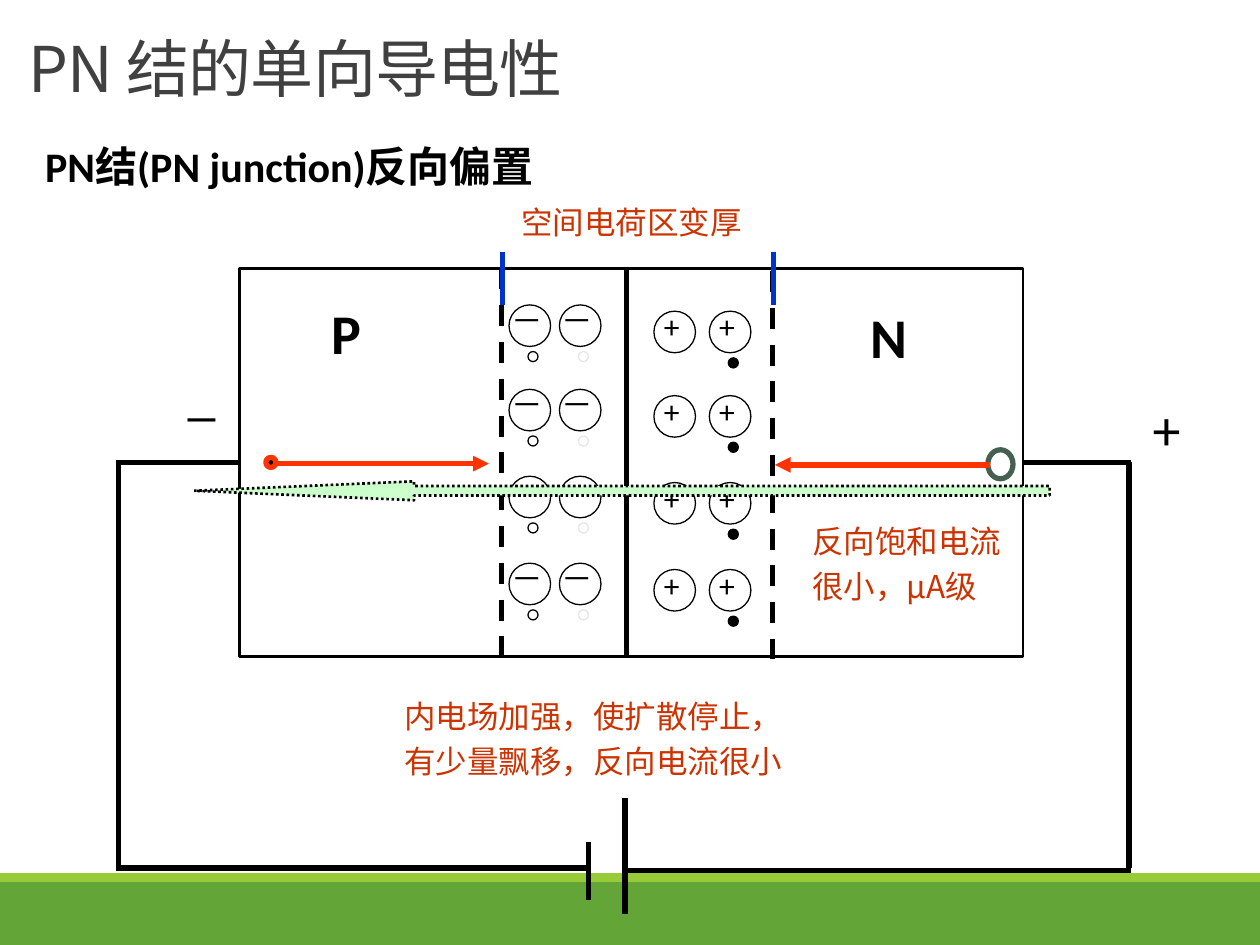
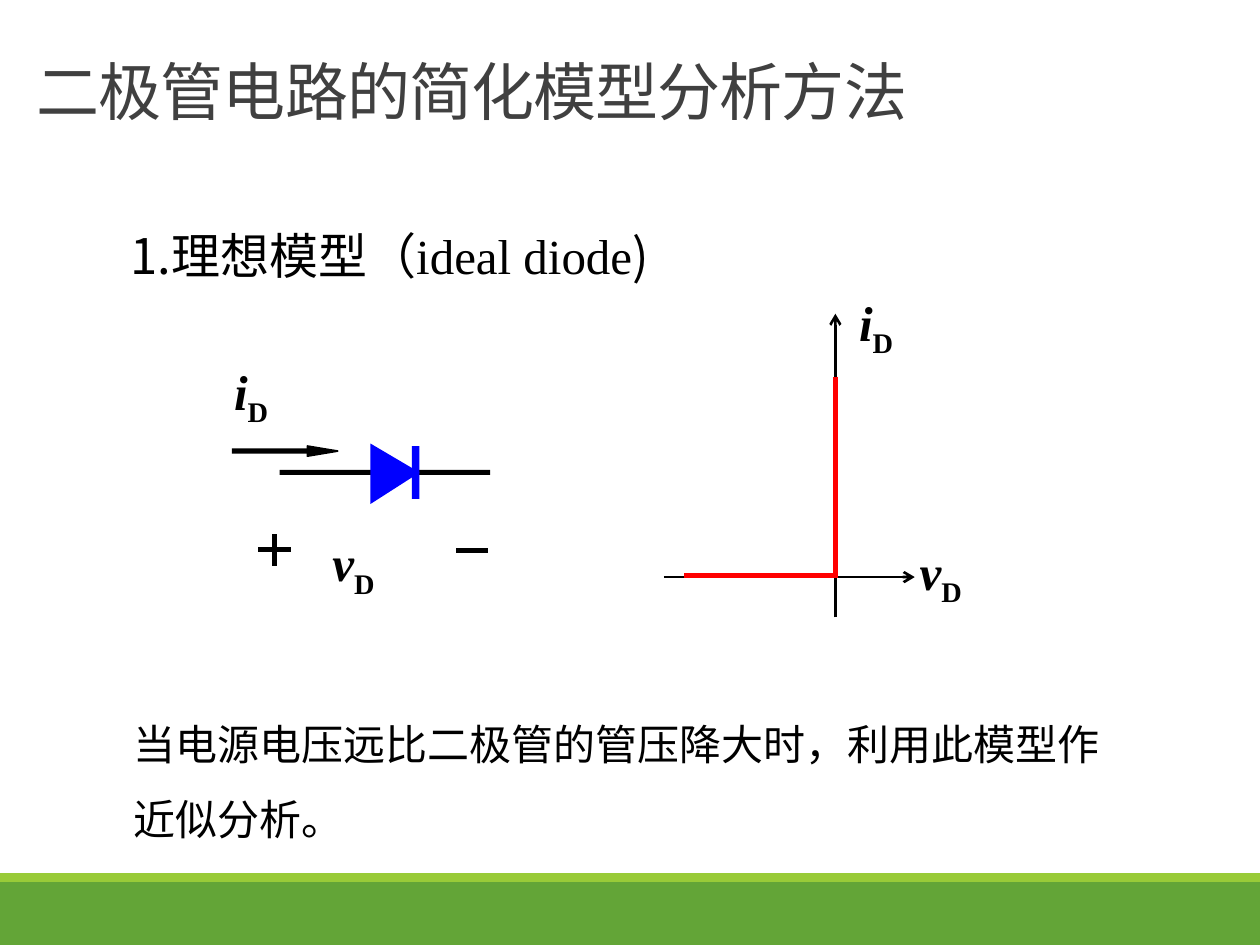
"""Build two slides on the PN junction and the ideal diode model."""
from lxml import etree
from pptx import Presentation, util as u
from pptx.dml.color import RGBColor
from pptx.enum import dml, shapes, text as t
from pptx.oxml import ns

Inches = u.Inches
BLACK, WHITE, GREY, PALE = "000000", "FFFFFF", "404040", "E6E6E6"
GREEN, LIME, MINT, PINE = "63A537", "99CB38", "CCFFCC", "455F51"
RUST, ORANGE, RED, NAVY, BLUE = "CC3300", "FF3300", "FF0000", "0033CC", "0000FF"
HAN, SANS, SERIF = "Noto Sans CJK SC", "Calibri", "Times New Roman"
RECT, OVAL = shapes.MSO_SHAPE.RECTANGLE, shapes.MSO_SHAPE.OVAL
DASH = dml.MSO_LINE
TOP, MID, LOW = t.MSO_ANCHOR.TOP, t.MSO_ANCHOR.MIDDLE, t.MSO_ANCHOR.BOTTOM
ROWS = (0, 0.67, 1.36, 2.05)


def tint(code):
    """Turn a hex string into a colour."""
    return RGBColor.from_string(code)


def add(parent, tag, **attrs):
    """Append a drawing element with attributes."""
    return etree.SubElement(parent, ns.qn(tag), **attrs)


def write(frame, *paras, size=18, face=SANS, color=BLACK, bold=None,
          anchor=TOP, wrap=True, lead=None, gap=None, tight=None):
    """Fill a frame; a paragraph is a string or a list of (text, options)."""
    frame.word_wrap = wrap
    frame.auto_size = t.MSO_AUTO_SIZE.NONE
    frame.vertical_anchor = anchor
    for i, para in enumerate(paras):
        line = frame.add_paragraph() if i else frame.paragraphs[0]
        line.alignment = t.PP_ALIGN.LEFT
        if lead:
            line.line_spacing = lead
        if i and gap:
            line.space_before = u.Pt(gap)
        for words, opts in [(para, {})] if isinstance(para, str) else para:
            run = line.add_run()
            run.text = words
            font = run.font
            font.size, font.bold = u.Pt(size), bold
            font.italic = opts.get("italic")
            font.name = opts.get("face", face)
            font.color.rgb = tint(color)
            props = run._r.get_or_add_rPr()
            add(props, "a:ea", typeface=font.name)
            if tight:
                props.set("spc", str(tight))
            if "base" in opts:
                props.set("baseline", str(opts["base"]))


def label(slide, box, *paras, **style):
    """Place a text box."""
    area = slide.shapes.add_textbox(*map(Inches, box))
    write(area.text_frame, *paras, **style)


def paint(item, fill=None, line=None, width=0.75, dash=None):
    """Set fill, outline and shadow of a shape."""
    item.shadow.inherit = False
    if fill:
        item.fill.solid()
        item.fill.fore_color.rgb = tint(fill)
    else:
        item.fill.background()
    if line:
        item.line.color.rgb = tint(line)
        item.line.width = u.Pt(width)
        if dash:
            item.line.dash_style = dash
    else:
        item.line.fill.background()
    return item


def shape(slide, kind, box, **style):
    """Draw a preset shape."""
    return paint(slide.shapes.add_shape(kind, *map(Inches, box)), **style)


def poly(slide, points, **style):
    """Draw a closed outline through points."""
    first, *rest = [tuple(map(Inches, p)) for p in points]
    pen = slide.shapes.build_freeform(*first)
    pen.add_line_segments(rest, close=True)
    return paint(pen.convert_to_shape(), **style)


def wire(slide, start, end, color=BLACK, width=3, dash=None, tip=None):
    """Draw a straight line, with an arrowhead of the given type at its end."""
    link = slide.shapes.add_connector(
        shapes.MSO_CONNECTOR.STRAIGHT, *map(Inches, (*start, *end)))
    link.line.color.rgb = tint(color)
    link.line.width = u.Pt(width)
    if dash:
        link.line.dash_style = dash
    if tip:
        add(link.line._get_or_add_ln(), "a:tailEnd", type=tip)
    add(link._element.spPr, "a:effectLst")
    return link


def start(deck, name, left, top):
    """Add a slide with its title."""
    slide = deck.slides.add_slide(deck.slide_layouts[5])
    title = slide.shapes.title
    title.left, title.top, title.width, title.height = map(
        Inches, (left, top, 8.25, 1.08))
    write(title.text_frame, name, size=36, face=HAN, color=GREY,
          anchor=LOW, lead=0.85, tight=-50)
    return slide


def bands(slide):
    """Draw the footer bands and move them to the shared layout."""
    base = slide.slide_layout.shapes[0].element
    for top, high, fill in ((7, 0.5, GREEN), (6.93, 0.07, LIME)):
        bar = shape(slide, RECT, (0, top, 10, high), fill=fill)
        base.addprevious(bar.element)


def ions(slide, left, top, sign, shift, wide, **dot):
    """Draw a column of ions, each with its sign and, if styled, a carrier."""
    for row in ROWS:
        y = top + row
        shape(slide, OVAL, (left, y, 0.33, 0.33), line=BLACK)
        label(slide, (left - shift, y - 0.08, wide, 0.5), sign)
        if dot:
            shape(slide, OVAL, (left + 0.15, y + 0.37, 0.08, 0.08), **dot)


def symbol(slide, left, top, letter, wide=0.6):
    """Write a quantity with the subscript D."""
    label(slide, (left, top, wide, 0.57),
          [(letter, {"italic": True}), ("D", {"base": -25000})],
          size=28, face=SERIF, bold=True, wrap=False)


def circuit(slide):
    """Draw the wires and the battery around the junction."""
    zones = [shape(slide, RECT, (left, 2.13, wide, 3.08), line=BLACK, width=1.5)
             for left, wide in ((1.9, 3.08), (4.96, 3.16))]
    wire(slide, (0.92, 3.67), (1.9, 3.67)).end_connect(zones[0], 1)
    wire(slide, (8.12, 3.67), (8.98, 3.67)).begin_connect(zones[1], 3)
    for a, b in (((0.94, 3.67), (0.94, 6.89)), ((0.92, 6.89), (4.67, 6.89)),
                 ((8.96, 3.67), (8.96, 6.89)), ((4.94, 6.91), (8.98, 6.91)),
                 ((4.96, 6.33), (4.96, 7.25)), ((4.67, 6.68), (4.67, 7.14))):
        wire(slide, a, b)


def junction(deck):
    """Build the slide on reverse bias."""
    slide = start(deck, "PN 结的单向导电性", 0.13, -0.19)
    bands(slide)
    label(slide, (0.26, 1.06, 5.15, 0.51),
          [("PN", {}), ("结", {"face": HAN}), ("(PN junction)", {}),
           ("反向偏置", {"face": HAN})], size=24, bold=True, anchor=MID)
    circuit(slide)
    ions(slide, 4.04, 2.42, "－", 0.08, 0.58, line=BLACK)
    ions(slide, 4.44, 2.42, "－", 0.08, 0.58, line=PALE)
    ions(slide, 5.19, 2.47, "+", 0.02, 0.42)
    ions(slide, 5.63, 2.47, "+", 0.02, 0.42, fill=BLACK, line=BLACK)
    for x, top in ((3.98, 2.13), (6.13, 2.15)):
        wire(slide, (x, top), (x, top + 3.08), dash=DASH.DASH)
        wire(slide, (x + 0.01, 2), (x + 0.01, 2.42), color=NAVY)
    shape(slide, OVAL, (2.11, 3.63, 0.08, 0.08),
          fill=BLACK, line=ORANGE, width=3)
    shape(slide, OVAL, (7.84, 3.57, 0.2, 0.23), line=PINE, width=3)
    wire(slide, (2.18, 3.68), (3.88, 3.68), color=ORANGE, tip="triangle")
    wire(slide, (7.86, 3.69), (6.15, 3.69), color=ORANGE, tip="triangle")
    for left, top, wide, mark, bold in (
            (6.81, 2.35, 0.76, "N", True), (2.53, 2.32, 0.76, "P", True),
            (9.05, 3.08, 0.98, "+", None), (1.39, 2.8, 0.98, "_", None)):
        label(slide, (left, top, wide, 0.63), mark, size=32, bold=bold)
    drift = shape(slide, shapes.MSO_SHAPE.LEFT_ARROW, (1.54, 3.82, 6.79, 0.15),
                  fill=MINT, line=BLACK, width=1.5, dash=DASH.ROUND_DOT)
    drift.adjustments[0], drift.adjustments[1] = 0.5, 11.64
    note = {"face": HAN, "color": RUST, "gap": 4.5}
    label(slide, (4.04, 1.56, 3.44, 0.41), "空间电荷区变厚", anchor=MID, **note)
    label(slide, (3.11, 5.43, 4.41, 0.86), "内电场加强，使扩散停止，",
          "有少量飘移，反向电流很小", anchor=MID, **note)
    label(slide, (6.35, 4.09, 2.27, 0.86), "反向饱和电流", "很小，μA级", **note)


def diode(slide):
    """Draw the diode with its current and voltage."""
    for box in ((1.84, 3.56, 0.74, 0.04), (2.22, 3.73, 1.67, 0.04)):
        shape(slide, RECT, box, fill=BLACK)
    poly(slide, ((2.68, 3.58), (2.44, 3.54), (2.44, 3.62)),
         fill=BLACK, line=BLACK, width=1)
    poly(slide, ((2.94, 3.52), (2.94, 4), (3.33, 3.75)), fill=BLUE)
    shape(slide, RECT, (3.27, 3.54, 0.06, 0.42), fill=BLUE)
    for a, b in (((2.05, 4.36), (2.31, 4.36)), ((2.18, 4.24), (2.18, 4.49)),
                 ((3.62, 4.37), (3.87, 4.37))):
        wire(slide, a, b)
    symbol(slide, 1.76, 2.82, "i")
    symbol(slide, 2.54, 4.18, "v")


def curve(slide):
    """Draw the ideal characteristic on its axes."""
    wire(slide, (5.27, 4.58), (7.26, 4.58), width=1.5, tip="arrow")
    wire(slide, (6.63, 4.9), (6.63, 2.49), width=1.5, tip="arrow")
    wire(slide, (6.63, 2.99), (6.63, 4.59), color=RED)
    wire(slide, (5.43, 4.57), (6.64, 4.57), color=RED)
    symbol(slide, 7.2, 4.25, "v", wide=0.87)
    symbol(slide, 6.72, 2.27, "i")


def model(deck):
    """Build the slide on the ideal diode model."""
    slide = start(deck, "二极管电路的简化模型分析方法", 0.19, -0.01)
    label(slide, (0.94, 1.74, 5.34, 0.57),
          [("1.理想模型（", {}), ("ideal diode", {"face": SERIF}), (")", {})],
          size=28, face=HAN)
    curve(slide)
    diode(slide)
    label(slide, (0.96, 5.45, 8.07, 1.22),
          "当电源电压远比二极管的管压降大时，利用此模型作近似分析。",
          size=24, face=HAN, lead=1.5)


def main():
    """Build and save the deck."""
    deck = Presentation()
    deck.slide_width, deck.slide_height = Inches(10), Inches(7.5)
    junction(deck)
    model(deck)
    deck.save("out.pptx")


if __name__ == "__main__":
    main()
